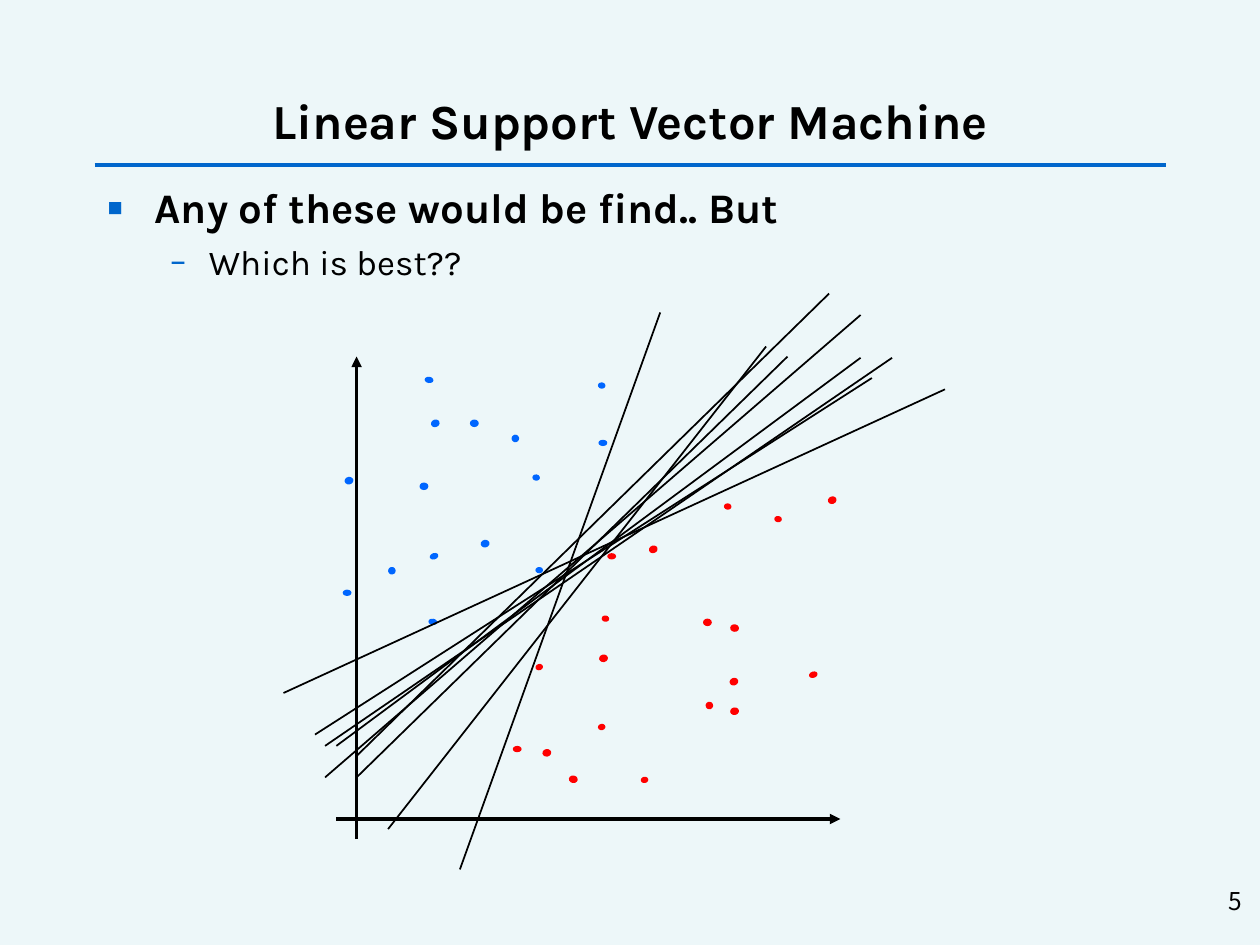
"""Build a slide on candidate separating lines for a linear support vector machine."""
import lxml.etree
import pptx
import pptx.dml.color
import pptx.enum.shapes
import pptx.enum.text
import pptx.oxml.ns
import pptx.util

Inches = pptx.util.Inches
Pt = pptx.util.Pt
Align = pptx.enum.text.PP_ALIGN
Anchor = pptx.enum.text.MSO_ANCHOR

LINES = [
    (2.5, 5.83, 6.92, 3), (2.83, 6.17, 6.25, 2.83), (2.25, 5.5, 7.5, 3.09),
    (2.67, 5.92, 6.83, 2.84), (2.58, 6.17, 6.83, 2.5), (2.83, 6, 6.58, 2.33),
    (3.08, 6.58, 6.08, 2.75), (2.58, 5.92, 7.08, 2.84), (3.65, 6.9, 5.24, 2.48),
]
AXES = [(2.83, 6.66, 2.83, 2.83), (2.67, 6.5, 6.67, 6.5)]
BLUE = {
    0: [(2.72, 4.68, 0.07, 0.05), (4.75, 3.49, 0.07, 0.05), (3.73, 3.33, 0.07, 0.06),
        (4.25, 4.5, 0.06, 0.05), (3.33, 3.83, 0.07, 0.06)],
    341.4: [(3.42, 3.33, 0.07, 0.06), (3.41, 4.39, 0.07, 0.05)],
    98.2: [(4.23, 3.76, 0.05, 0.06), (3.41, 4.9, 0.05, 0.07), (4.75, 3.03, 0.05, 0.06),
           (3.38, 2.98, 0.05, 0.07)],
    79.6: [(3.82, 4.28, 0.06, 0.07), (3.08, 4.5, 0.06, 0.06), (4.06, 3.45, 0.06, 0.06),
           (2.74, 3.78, 0.06, 0.07)],
}
RED = {
    0: [(4.07, 5.92, 0.07, 0.05), (4.82, 4.39, 0.07, 0.05), (5.58, 4.91, 0.07, 0.06)],
    341.4: [(4.25, 5.27, 0.06, 0.05), (6.57, 3.94, 0.07, 0.06), (5.79, 5.38, 0.07, 0.06),
            (5.15, 4.33, 0.07, 0.06), (6.42, 5.33, 0.07, 0.05)],
    98.2: [(4.52, 6.15, 0.06, 0.07), (5.8, 4.95, 0.06, 0.07), (4.78, 4.88, 0.05, 0.06),
           (6.15, 4.09, 0.05, 0.06), (5.75, 3.99, 0.05, 0.06), (5.6, 5.57, 0.06, 0.06)],
    79.6: [(5.09, 6.16, 0.05, 0.06), (4.75, 5.74, 0.05, 0.06), (4.76, 5.19, 0.06, 0.07),
           (4.31, 5.94, 0.06, 0.07), (5.8, 5.61, 0.06, 0.07)],
}


def tint(code):
    """Turn a hex string into a colour."""
    return pptx.dml.color.RGBColor.from_string(code)


def add(node, tag, **attrs):
    """Append an XML child with the given attributes."""
    return lxml.etree.SubElement(node, pptx.oxml.ns.qn(tag), **attrs)


def write(para, text, size=20, bold=False, font="Karla", align=Align.LEFT,
          mark=None, left=0, hang=0, space=0):
    """Fill a paragraph with formatted text and an optional bullet."""
    para.alignment = align
    para.space_before = Pt(space)
    if mark:
        props = para._p.get_or_add_pPr()
        props.set("marL", str(Inches(left)))
        props.set("indent", str(-Inches(hang)))
        add(add(props, "a:buClr"), "a:srgbClr", val=Deck.accent)
        add(props, "a:buFont", typeface=font)
        add(props, "a:buChar", char=mark)
    run = para.add_run()
    run.text = text
    run.font.name = font
    run.font.size = Pt(size)
    run.font.bold = bold
    run.font.color.rgb = tint(Deck.ink)


class Deck:
    """Hold the style and the current slide."""

    ink = "000000"
    accent = "0066CC"
    back = "EDF7F9"

    def __init__(self):
        """Open a deck with one blank slide."""
        self.file = pptx.Presentation()
        self.file.slide_width = Inches(10)
        self.file.slide_height = Inches(7.5)
        self.slide = self.file.slides.add_slide(self.file.slide_layouts[6])
        fill = self.slide.background.fill
        fill.solid()
        fill.fore_color.rgb = tint(self.back)

    def text(self, box, *items, anchor=Anchor.TOP):
        """Add a text box with one paragraph for each item."""
        frame = self.slide.shapes.add_textbox(*map(Inches, box)).text_frame
        frame.word_wrap = True
        frame.vertical_anchor = anchor
        for rank, item in enumerate(items):
            para = frame.add_paragraph() if rank else frame.paragraphs[0]
            write(para, **item)

    def line(self, ends, width=1, color=ink, arrow=False):
        """Add a straight line, with an arrowhead at its end if asked."""
        kind = pptx.enum.shapes.MSO_CONNECTOR.STRAIGHT
        link = self.slide.shapes.add_connector(kind, *map(Inches, ends))
        link.line.width = Pt(width)
        link.line.color.rgb = tint(color)
        if arrow:
            add(link.line._get_or_add_ln(), "a:tailEnd", type="triangle")
        add(link._element.spPr, "a:effectLst")

    def dot(self, box, color, turn):
        """Add a data point."""
        kind = pptx.enum.shapes.MSO_SHAPE.OVAL
        dot = self.slide.shapes.add_shape(kind, *map(Inches, box))
        dot.rotation = turn
        dot.shadow.inherit = False
        dot.fill.solid()
        dot.fill.fore_color.rgb = tint(color)
        dot.line.fill.background()


def main():
    """Draw the slide and save it."""
    deck = Deck()
    deck.line((0.75, 1.31, 9.25, 1.31), 2.25, deck.accent)
    deck.text((0.75, 0.67, 8.5, 0.56),
              dict(text="Linear Support Vector Machine", size=28, bold=True,
                   align=Align.CENTER), anchor=Anchor.MIDDLE)
    deck.text((0.75, 1.39, 8.5, 5.28),
              dict(text="Any of these would be find.. But", size=24, bold=True,
                   mark="▪", left=0.38, hang=0.38),
              dict(text="Which is best??", mark="–", left=0.81, hang=0.31, space=5))
    deck.text((7.88, 6.98, 2.08, 0.5),
              dict(text="5", size=14, font="Noto Sans CJK KR", align=Align.RIGHT))
    for ends in AXES:
        deck.line(ends, 2, arrow=True)
    for color, turns in (("0066FF", BLUE), ("FF0000", RED)):
        for turn, boxes in turns.items():
            for box in boxes:
                deck.dot(box, color, turn)
    for ends in LINES:
        deck.line(ends)
    deck.file.save("out.pptx")


if __name__ == "__main__":
    main()
